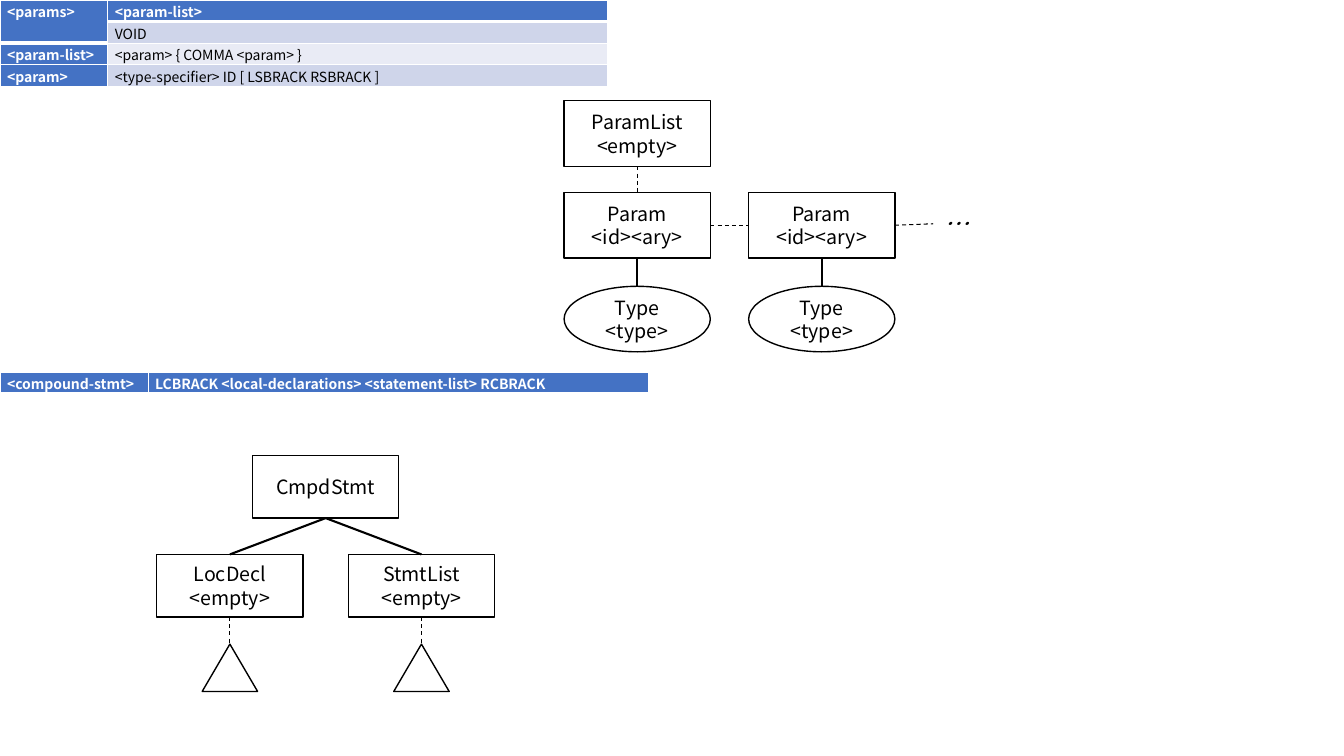
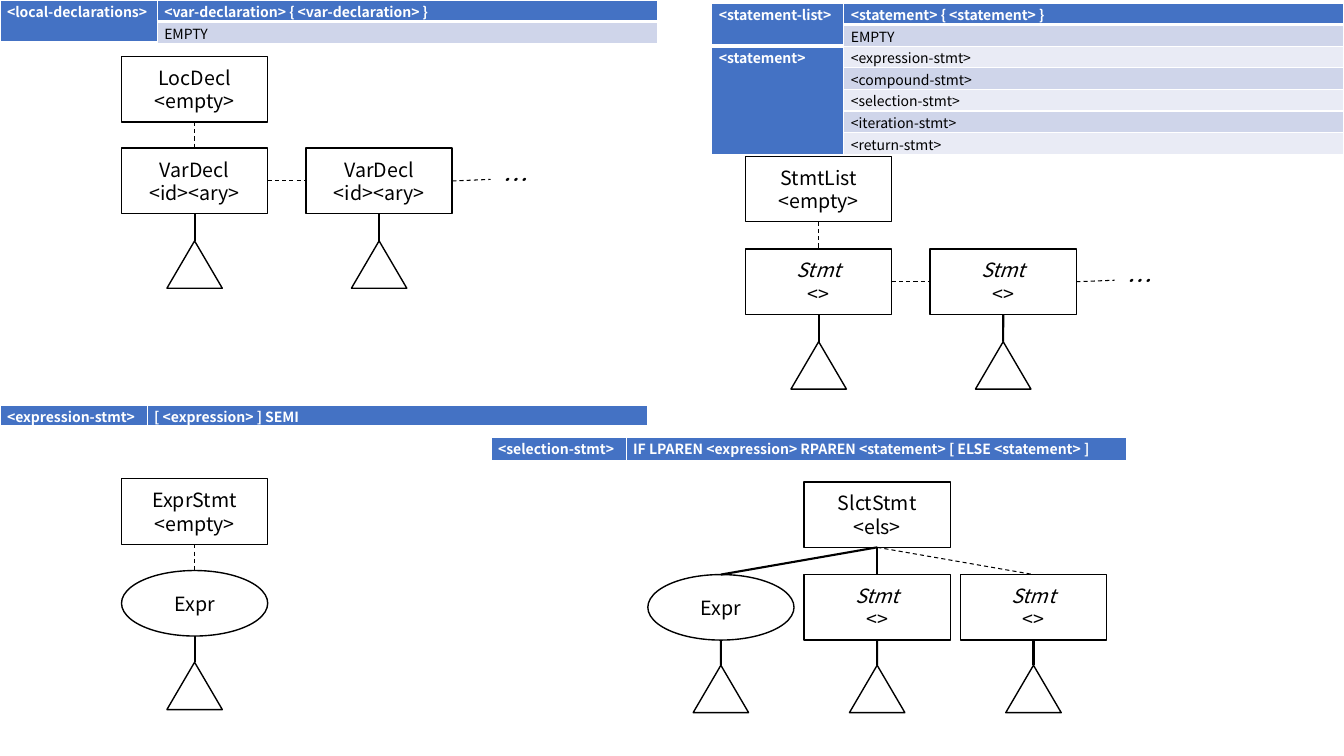
from typing import NamedTuple

from lxml.etree import SubElement
from pptx import Presentation
from pptx.dml.color import RGBColor
from pptx.enum.dml import MSO_LINE
from pptx.enum.shapes import MSO_CONNECTOR, MSO_SHAPE as Preset
from pptx.enum.text import MSO_ANCHOR as Anchor, PP_ALIGN as Align
from pptx.oxml.ns import qn
from pptx.util import Inches, Pt

FONT = "Noto Sans CJK KR"
COLORS = {"ink": "000000", "paper": "FFFFFF", "head": "4472C4",
          "dark": "CFD5EA", "light": "E9EBF5"}
RULE_W, ROW_H = 4.96, 0.17
BOX_W, TWIG, MORE = 1.45, (0.55, 0.47), (0.45, 0.62)
TOP, LEFT, BOTTOM, RIGHT = range(4)
OVAL_BOTTOM = 4


class Node(NamedTuple):
    label: str
    dx: float = 0         # offset from the parent's centre
    link: str = "solid"   # solid or dash to the parent, next to the left sibling
    kids: tuple = ()


class Table(NamedTuple):
    left: float
    top: float
    name_w: float
    groups: list
    row_h: float = ROW_H


class Tree(NamedTuple):
    mid: float
    tops: tuple
    root: Node
    high: float = 0.65


def chain(head, item, leaf):
    """A list node whose items follow each other to the right."""
    return Node(head, kids=(Node(item, 0, "dash", (leaf,)),
                            Node(item, 1.83, "next", (leaf,)),
                            Node("…", 3.16, "next")))


LEAF = Node("")
TYPE = Node("Type\n<type>")
OVALS = {TYPE.label, "Expr"}
ABSTRACT = "Stmt"
STMT = "Stmt\n<>"
LOCALS, STMTS = "LocDecl\n<empty>", "StmtList\n<empty>"

SLIDES = [
    ([Table(0, 0, 1.07, [
        ("<params>", ["<param-list>", "VOID"]),
        ("<param-list>", ["<param> { COMMA <param> }"]),
        ("<param>", ["<type-specifier> ID [ LSBRACK RSBRACK ]"])]),
      Table(0, 3.69, 1.47, [
          ("<compound-stmt>",
           ["LCBRACK <local-declarations> <statement-list> RCBRACK"])])],
     [Tree(6.32, (1, 1.91, 2.84),
           chain("ParamList\n<empty>", "Param\n<id><ary>", TYPE)),
      Tree(3.23, (4.52, 5.5, 6.39), Node("CmpdStmt", kids=(
          Node(LOCALS, -0.95, kids=(Node("", link="dash"),)),
          Node(STMTS, 0.95, kids=(Node("", link="dash"),)))), 0.62)]),
    ([Table(0, 0, 1.56, [
        ("<local-declarations>",
         ["<var-declaration> { <var-declaration> }", "EMPTY"])]),
      Table(7.06, 0.03, 1.31, [
          ("<statement-list>", ["<statement> { <statement> }", "EMPTY"]),
          ("<statement>", ["<expression-stmt>", "<compound-stmt>",
                           "<selection-stmt>", "<iteration-stmt>",
                           "<return-stmt>"])]),
      Table(0, 4.02, 1.46, [("<expression-stmt>", ["[ <expression> ] SEMI"])]),
      Table(4.87, 4.34, 1.34, [
          ("<selection-stmt>",
           ["IF LPAREN <expression> RPAREN <statement> [ ELSE <statement> ]"])],
          0.24)],
     [Tree(1.93, (0.56, 1.47, 2.39), chain(LOCALS, "VarDecl\n<id><ary>", LEAF)),
      Tree(8.12, (1.55, 2.47, 3.39), chain(STMTS, STMT, LEAF)),
      Tree(1.93, (4.75, 5.66, 6.57), Node("ExprStmt\n<empty>", kids=(
          Node("Expr", link="dash", kids=(LEAF,)),))),
      Tree(8.7, (4.78, 5.7, 6.6), Node("SlctStmt\n<els>", kids=(
          Node("Expr", -1.55, kids=(LEAF,)),
          Node(STMT, 0, kids=(LEAF,)),
          Node(STMT, 1.55, "dash", (LEAF,)))))]),
]


def color(name):
    return RGBColor.from_string(COLORS[name])


def style(para, size, ink="ink", bold=False, italic=False):
    font = para.font
    font.name, font.size = FONT, Pt(size)
    font.bold, font.italic = bold, italic
    font.color.rgb = color(ink)


def edge(cell, base):
    """White cell borders, with a bottom of the given width."""
    props = cell._tc.get_or_add_tcPr()
    for side, width in zip("LRTB", (1, 1, 1, base)):
        line = SubElement(props, qn(f"a:ln{side}"), w=str(Pt(width)))
        fill = SubElement(line, qn("a:solidFill"))
        SubElement(fill, qn("a:srgbClr"), val=COLORS["paper"])


def fill_cell(cell, text, tone, base):
    edge(cell, base)
    cell.fill.solid()
    cell.fill.fore_color.rgb = color(tone)
    cell.margin_left = cell.margin_right = Inches(0.07)
    cell.margin_top = cell.margin_bottom = 0
    cell.text = text
    para = cell.text_frame.paragraphs[0]
    para.line_spacing, para.space_after = 1.07, Pt(8)
    head = tone == "head"
    style(para, 10, "paper" if head else "ink", bold=head)


def draw_table(slide, spec):
    count = sum(len(rules) for _, rules in spec.groups)
    grid = slide.shapes.add_table(
        count, 2, Inches(spec.left), Inches(spec.top),
        Inches(spec.name_w + RULE_W), Inches(spec.row_h * count)).table
    grid.first_row = grid.horz_banding = False
    for col, width in zip(grid.columns, (spec.name_w, RULE_W)):
        col.width = Inches(width)
    row = 0
    for name, rules in spec.groups:
        first = row
        for rule in rules:
            tone = "head" if row == 0 else "dark" if row % 2 else "light"
            fill_cell(grid.cell(row, 0), name if row == first else "",
                      "head", 3 if first == 0 else 1)
            fill_cell(grid.cell(row, 1), rule, tone, 3 if row == 0 else 1)
            row += 1
        if len(rules) > 1:
            grid.cell(first, 0).merge(grid.cell(row - 1, 0))


def draw_node(slide, label, mid, top, high):
    wide, high = {"": TWIG, "…": MORE}.get(label, (BOX_W, high))
    place = [Inches(v) for v in (mid - wide / 2, top, wide, high)]
    if label == "…":
        shape = slide.shapes.add_textbox(*place)
    else:
        kind = (Preset.ISOSCELES_TRIANGLE if not label else
                Preset.OVAL if label in OVALS else Preset.RECTANGLE)
        shape = slide.shapes.add_shape(kind, *place)
        shape.shadow.inherit = False
        shape.fill.solid()
        shape.fill.fore_color.rgb = color("paper")
        shape.line.color.rgb = color("ink")
        shape.line.width = Pt(1)
    if label:
        frame = shape.text_frame
        frame.word_wrap, frame.vertical_anchor = True, Anchor.MIDDLE
        frame.text = label
        for para in frame.paragraphs:
            para.alignment = Align.CENTER
            style(para, 18 if label == "…" else 14,
                  italic=para.text in (ABSTRACT, "…"))
    return shape


def join(slide, start, out, end, into, dash):
    line = slide.shapes.add_connector(MSO_CONNECTOR.STRAIGHT, 0, 0, 0, 0)
    line.begin_connect(start, out)
    line.end_connect(end, into)
    if out == BOTTOM and start.auto_shape_type == Preset.OVAL:
        line.element.xpath(".//a:stCxn")[0].set("idx", str(OVAL_BOTTOM))
    line.line.color.rgb = color("ink")
    line.line.width = Pt(0.75 if dash else 1.5)
    if dash:
        line.line.dash_style = MSO_LINE.DASH
    SubElement(line.element.spPr, qn("a:effectLst"))


def grow(slide, node, mid, tops, high):
    """Draw a node and all below it, one row of tops a level."""
    shape = draw_node(slide, node.label, mid, tops[0], high)
    prior = None
    for kid in node.kids:
        below = grow(slide, kid, mid + kid.dx, tops[1:], high)
        if kid.link == "next":
            join(slide, prior, RIGHT, below, LEFT, True)
        else:
            join(slide, shape, BOTTOM, below, TOP, kid.link == "dash")
        prior = below
    return shape


def main():
    deck = Presentation()
    deck.slide_width, deck.slide_height = Inches(13.33), Inches(7.5)
    for tables, trees in SLIDES:
        slide = deck.slides.add_slide(deck.slide_layouts[6])
        for table in tables:
            draw_table(slide, table)
        for tree in trees:
            grow(slide, tree.root, tree.mid, tree.tops, tree.high)
    deck.save("out.pptx")


if __name__ == "__main__":
    main()
